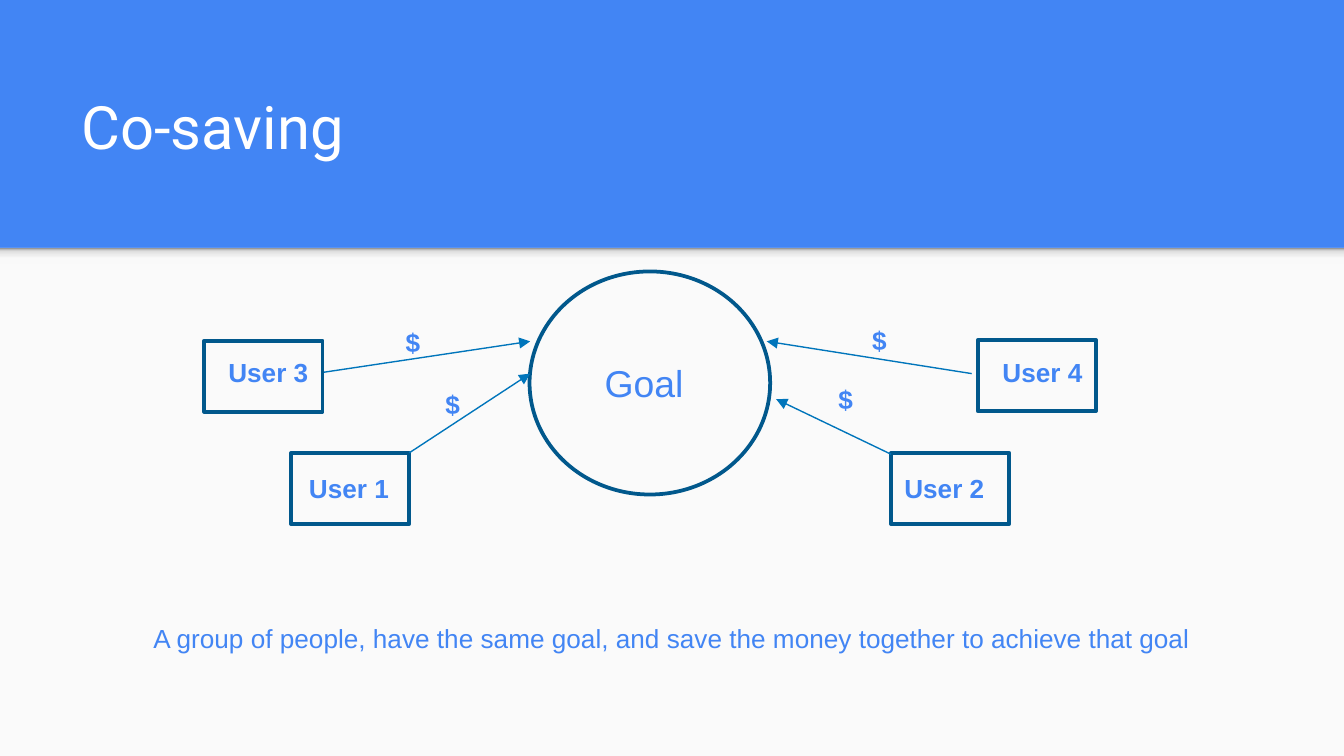
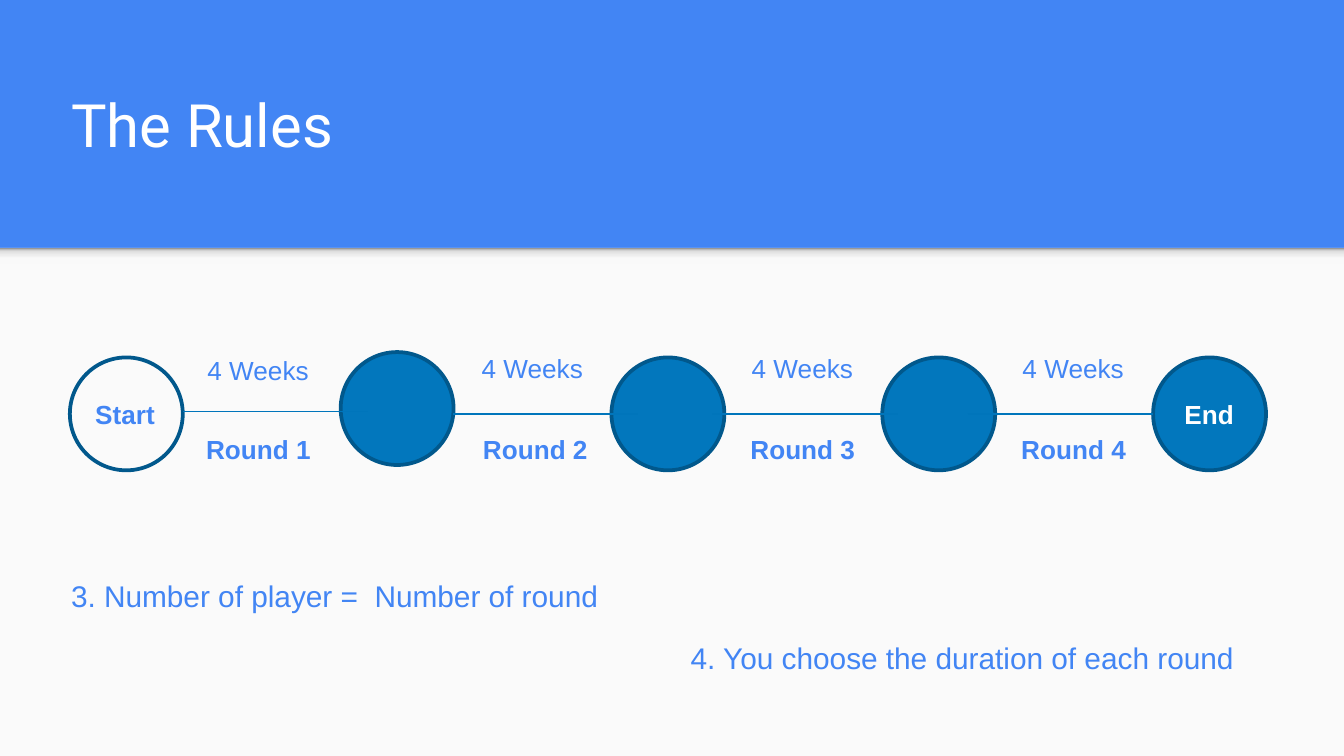
from lxml.etree import SubElement
from pptx import Presentation
from pptx.dml.color import RGBColor
from pptx.enum.shapes import MSO_CONNECTOR, MSO_SHAPE
from pptx.enum.text import MSO_ANCHOR, MSO_AUTO_SIZE, PP_ALIGN
from pptx.oxml import parse_xml
from pptx.oxml.ns import nsdecls, qn
from pptx.util import Pt

# Scale: 200 px to the inch
PX = 4572
WIDE, HIGH = 2000, 1125
BAND = 369

# Look
BLUE = RGBColor(0x42, 0x85, 0xF4)
WHITE = RGBColor(0xFF, 0xFF, 0xFF)
PALE = RGBColor(0xFA, 0xFA, 0xFA)
EDGE = RGBColor(0x01, 0x58, 0x8C)
DISC = RGBColor(0x02, 0x77, 0xBD)
LINK = RGBColor(0x00, 0x75, 0xBB)
SHADE = [(0, "F9F9F9"), (36, "F9F9F9"), (80, "DEDEDE"), (100, "999999")]
HEAD, BODY = "Roboto", "Arial"
ROW = 68

# Co-saving: name, box corner, text corner
USERS = [
    ("User 1", (433, 674), (440, 693)),
    ("User 2", (1326, 674), (1326, 693)),
    ("User 3", (304, 507), (320, 521)),
    ("User 4", (1455, 506), (1472, 521)),
]
# Arrow start, arrow end, corner of its "$"
FLOWS = [
    ((609, 674), (789, 556), (643, 568)),
    ((1326, 676), (1155, 594), (1228, 560)),
    ((482, 554), (789, 508), (584, 476)),
    ((1446, 556), (1141, 508), (1278, 473)),
]
MOTTO = ("A group of people, have the same goal, "
         "and save the money together to achieve that goal")

# The Rules: round, time, their lefts, time top, line start, line height
ROUNDS = [
    ("Round 1", "4 Weeks", 287, 289, 517, 272, 612),
    ("Round 2", "4 Weeks", 699, 697, 515, 674, 616),
    ("Round 3", "4 Weeks", 1097, 1099, 515, 1060, 616),
    ("Round 4", "4 Weeks", 1500, 1502, 515, 1440, 616),
]
TOPS = [532, 524, 532, 532, 532]
SIZE, FIRST, STEP = 168, 104, 403
SPAN = 276
NOTES = [
    ("3. Number of player =  Number of round", (86, 850, 858, 74)),
    ("4. You choose the duration of each round", (1008, 942, 876, 74)),
]


def emu(*nums):
    return [num * PX for num in nums]


def put(par, text, size, color, font=BODY, bold=False):
    run = par.add_run()
    run.text = text
    run.font.name = font
    run.font.size = Pt(size)
    run.font.bold = bold
    run.font.color.rgb = color


def label(slide, text, box, size=14, color=BLUE, bold=False,
          wrap=False, align=PP_ALIGN.LEFT):
    frame = slide.shapes.add_textbox(*emu(*box)).text_frame
    frame.word_wrap = wrap
    frame.auto_size = MSO_AUTO_SIZE.SHAPE_TO_FIT_TEXT
    par = frame.paragraphs[0]
    par.alignment = align
    put(par, text, size, color, bold=bold)


def form(slide, kind, box, fill=None, line=EDGE):
    shape = slide.shapes.add_shape(kind, *emu(*box))
    shape.shadow.inherit = False
    if fill is None:
        shape.fill.background()
    else:
        shape.fill.solid()
        shape.fill.fore_color.rgb = fill
    if line is None:
        shape.line.fill.background()
    else:
        shape.line.color.rgb = line
        shape.line.width = Pt(2)
    return shape


def link(slide, start, end, arrow=False):
    wire = slide.shapes.add_connector(MSO_CONNECTOR.STRAIGHT, *emu(*start, *end))
    wire.line.color.rgb = LINK
    wire.line.width = Pt(0.75)
    props = wire._element.spPr
    if arrow:
        SubElement(props.find(qn("a:ln")), qn("a:tailEnd"), type="triangle")
    SubElement(props, qn("a:effectLst"))


def fade(shape):
    """Shade a shape from dark at the top to pale at the foot."""
    stops = "".join(f'<a:gs pos="{pos * 1000}"><a:srgbClr val="{tone}"/></a:gs>'
                    for pos, tone in SHADE)
    props = shape._element.spPr
    old = props.find(qn("a:noFill"))
    props.replace(old, parse_xml(
        f'<a:gradFill {nsdecls("a")}><a:gsLst>{stops}</a:gsLst>'
        '<a:lin ang="16200000" scaled="0"/></a:gradFill>'))


def start(deck, text, left, top):
    """Add a slide with the blue band, the pale page and a title."""
    slide = deck.slides.add_slide(deck.slide_layouts[5])
    form(slide, MSO_SHAPE.RECTANGLE, (0, BAND, WIDE, HIGH - BAND), PALE, None)
    fade(form(slide, MSO_SHAPE.RECTANGLE, (0, BAND, WIDE, 24), None, None))
    title = slide.shapes.title
    title.left, title.top, title.width, title.height = emu(left, top, 1798, 168)
    frame = title.text_frame
    frame.word_wrap = True
    frame.auto_size = MSO_AUTO_SIZE.NONE
    frame.vertical_anchor = MSO_ANCHOR.BOTTOM
    frame.margin_left = frame.margin_right = 20 * PX
    frame.margin_top = frame.margin_bottom = 20 * PX
    par = frame.paragraphs[0]
    par.alignment = PP_ALIGN.LEFT
    put(par, text, 32, WHITE, HEAD)
    return slide


def saving(deck):
    slide = start(deck, "Co-saving", 101, 92)
    # Goal
    form(slide, MSO_SHAPE.OVAL, (788, 404, 358, 332))
    label(slide, "Goal", (880, 526, 216, 88), 20, wrap=True)
    # Users around it
    for name, box, spot in USERS:
        form(slide, MSO_SHAPE.RECTANGLE, (*box, 176, 106))
        label(slide, name, (*spot, 216, ROW), bold=True, wrap=True)
    # Money flows
    for tail, tip, spot in FLOWS:
        link(slide, tail, tip, arrow=True)
        label(slide, "$", (*spot, 62, ROW), bold=True)
    label(slide, MOTTO, (204, 917, 1592, ROW), align=PP_ALIGN.CENTER)


def rules(deck):
    slide = start(deck, "The Rules", 86, 90)
    # Discs at equal steps, the first one hollow
    for num, top in enumerate(TOPS):
        form(slide, MSO_SHAPE.OVAL, (FIRST + STEP * num, top, SIZE, SIZE),
             DISC if num else None)
    # Rounds between them
    for name, time, left, side, top, begin, level in ROUNDS:
        link(slide, (begin, level), (begin + SPAN, level))
        label(slide, time, (side, top, 192, ROW))
        label(slide, name, (left, 635, 196, ROW), bold=True)
    label(slide, "Start", (122, 583, 130, ROW), bold=True)
    label(slide, "End", (1743, 583, 114, ROW), color=WHITE, bold=True)
    # Further rules
    for text, box in NOTES:
        label(slide, text, box, 16)


def main():
    deck = Presentation()
    deck.slide_width, deck.slide_height = emu(WIDE, HIGH)
    back = deck.slide_master.background.fill
    back.solid()
    back.fore_color.rgb = BLUE
    saving(deck)
    rules(deck)
    deck.save("out.pptx")


if __name__ == "__main__":
    main()
